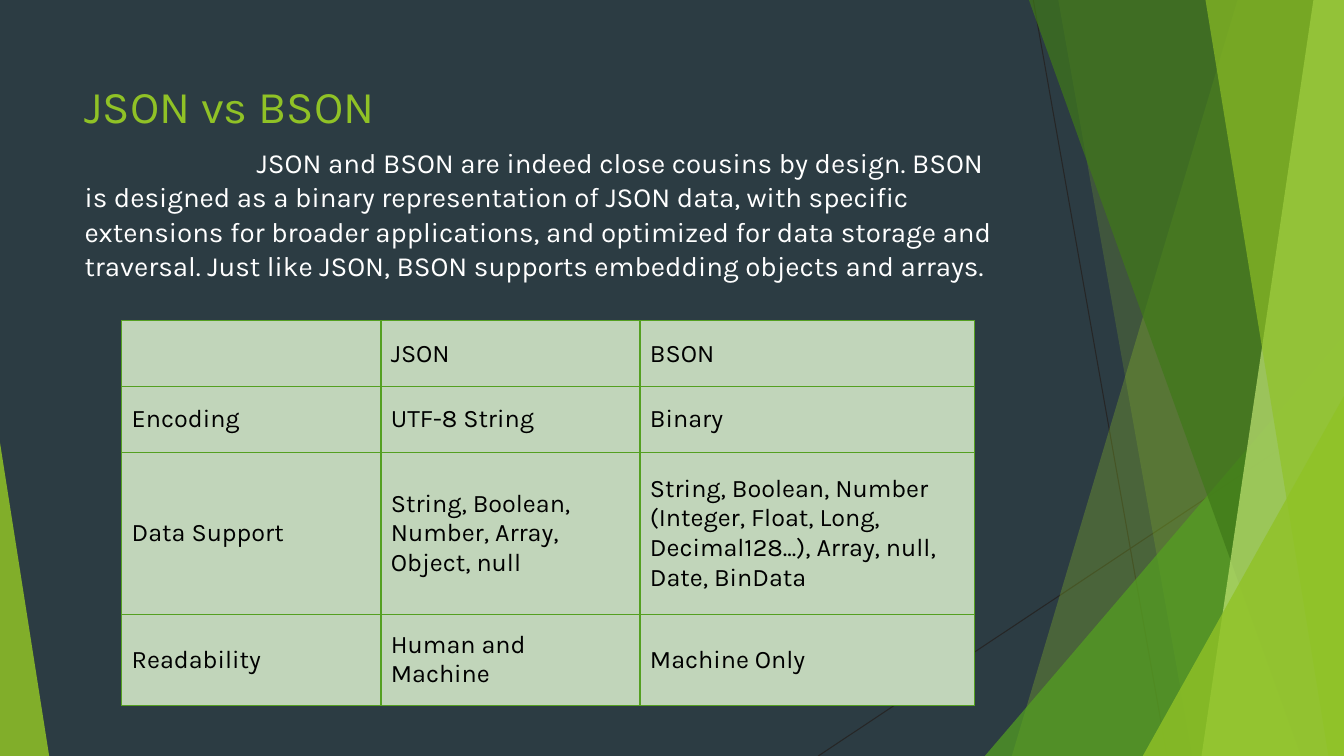
from dataclasses import dataclass

from lxml.etree import SubElement
from pptx import Presentation
from pptx.dml.color import RGBColor
from pptx.enum.shapes import MSO_CONNECTOR, MSO_SHAPE
from pptx.enum.text import MSO_ANCHOR as Anchor, PP_ALIGN as Align
from pptx.oxml.ns import qn
from pptx.util import Cm, Pt

COLORS = {
    "background": "2C3C43", "lime": "90C226", "green": "54A021",
    "forest": "3F7819", "pale": "C0E474", "line": "262626",
    "cell": "C1D5BA", "white": "FFFFFF", "black": "000000",
}
FONT = "Karla"
WIDTH, HEIGHT = 33.87, 19.05


@dataclass
class Line:
    start: tuple[float, float]
    end: tuple[float, float]


@dataclass
class Facet:
    """Band from a slanted left edge to the right side of the slide."""
    top_x: float
    bottom_x: float
    color: str
    opacity: int


@dataclass
class Corner:
    """Right triangle standing on the bottom of the slide."""
    left: float
    top: float
    width: float
    apex: float
    color: str
    opacity: int


DECORATIONS = [
    Line((26.04, 0), (29.41, HEIGHT)),
    Line((WIDTH, 10.24), (20.62, HEIGHT)),
    Facet(31.19, 25.5, "lime", 30),
    Facet(26.67, 30.05, "lime", 20),
    Corner(24.82, 8.46, 9.05, 1, "green", 72),
    Facet(25.93, 32.79, "forest", 70),
    Facet(33.1, 30.28, "pale", 70),
    Facet(30.38, 33.48, "lime", 65),
    Corner(28.8, 9.98, 5.07, 1, "lime", 80),
    Corner(0, 11.15, 1.24, 0, "lime", 85),
]

COLUMN_WIDTHS = [6.53, 6.53, 8.43]
ROW_HEIGHTS = [1.66, 1.66, 4.08, 2.27]
COMPARISON = [
    ["", "JSON", "BSON"],
    ["Encoding", "UTF-8 String", "Binary"],
    ["Data Support", "String, Boolean, Number, Array, Object, null",
     "String, Boolean, Number (Integer, Float, Long, Decimal128...), "
     "Array, null, Date, BinData"],
    ["Readability", "Human and Machine", "Machine Only"],
]


def rgb(name: str) -> RGBColor:
    return RGBColor.from_string(COLORS[name])


def paint(shape, color: str, opacity: int) -> None:
    shape.shadow.inherit = False
    shape.line.fill.background()
    shape.fill.solid()
    shape.fill.fore_color.rgb = rgb(color)
    color_node = shape.fill._xPr.find(qn("a:solidFill"))[0]
    SubElement(color_node, qn("a:alpha"), val=str(opacity * 1000))


def draw_line(shapes, line: Line) -> None:
    points = [Cm(value) for value in (*line.start, *line.end)]
    connector = shapes.add_connector(MSO_CONNECTOR.STRAIGHT, *points)
    connector.line.color.rgb = rgb("line")
    connector.line.width = Pt(0.75)
    SubElement(connector._element.spPr, qn("a:effectLst"))


def draw_facet(shapes, facet: Facet) -> None:
    builder = shapes.build_freeform(Cm(facet.top_x), 0)
    corners = [(WIDTH, 0), (WIDTH, HEIGHT), (facet.bottom_x, HEIGHT)]
    builder.add_line_segments([(Cm(x), Cm(y)) for x, y in corners], close=True)
    paint(builder.convert_to_shape(), facet.color, facet.opacity)


def draw_corner(shapes, corner: Corner) -> None:
    triangle = shapes.add_shape(
        MSO_SHAPE.ISOSCELES_TRIANGLE, Cm(corner.left), Cm(corner.top),
        Cm(corner.width), Cm(HEIGHT - corner.top))
    triangle.adjustments[0] = corner.apex
    paint(triangle, corner.color, corner.opacity)


def write(paragraph, text: str, size: float, color: str) -> None:
    paragraph.alignment = Align.LEFT
    run = paragraph.add_run()
    run.text = text
    run.font.name = FONT
    run.font.size = Pt(size)
    run.font.color.rgb = rgb(color)


def place(placeholder, top: float, height: float):
    """Move a text placeholder to the left margin; return its paragraph."""
    placeholder.left, placeholder.top = Cm(2.13), Cm(top)
    placeholder.width, placeholder.height = Cm(23.1), Cm(height)
    frame = placeholder.text_frame
    frame.word_wrap = True
    frame.vertical_anchor = Anchor.TOP
    frame.margin_left = frame.margin_right = 0
    frame.margin_top = frame.margin_bottom = 0
    paragraph = frame.paragraphs[0]
    paragraph.space_before = Pt(0)
    return paragraph


def format_cell(cell, text: str) -> None:
    cell.vertical_anchor = Anchor.MIDDLE
    cell.margin_left = cell.margin_right = Cm(0.25)
    cell.margin_top = cell.margin_bottom = Cm(0.4)
    if text:
        write(cell.text_frame.paragraphs[0], text, 18, "black")
    properties = cell._tc.get_or_add_tcPr()
    for side in ("lnL", "lnR", "lnT", "lnB"):
        border = SubElement(properties, qn(f"a:{side}"), w=str(Pt(1)))
        fill = SubElement(border, qn("a:solidFill"))
        SubElement(fill, qn("a:srgbClr"), val=COLORS["green"])
    cell.fill.solid()
    cell.fill.fore_color.rgb = rgb("cell")


presentation = Presentation()
presentation.slide_width, presentation.slide_height = Cm(WIDTH), Cm(HEIGHT)
slide = presentation.slides.add_slide(presentation.slide_layouts[1])
slide.background.fill.solid()
slide.background.fill.fore_color.rgb = rgb("background")

# Background facets
DRAW = {Line: draw_line, Facet: draw_facet, Corner: draw_corner}
for decoration in DECORATIONS:
    DRAW[type(decoration)](slide.shapes, decoration)

# Title and introduction
title = place(slide.shapes.title, 1.96, 1.4)
write(title, "JSON vs BSON", 32.4, "lime")

introduction = place(slide.placeholders[1], 3.65, 3.6)
introduction.line_spacing = Pt(24.5)
introduction_properties = introduction._p.get_or_add_pPr()
introduction_properties.set("marL", "0")
introduction_properties.set("indent", str(Cm(4.34)))
SubElement(introduction_properties, qn("a:buNone"))
write(introduction,
      "JSON and BSON are indeed close cousins by design. BSON is designed as "
      "a binary representation of JSON data, with specific extensions for "
      "broader applications, and optimized for data storage and traversal. "
      "Just like JSON, BSON supports embedding objects and arrays.",
      19.8, "white")

# Comparison table
table = slide.shapes.add_table(
    len(ROW_HEIGHTS), len(COLUMN_WIDTHS), Cm(3.07), Cm(8.08),
    Cm(sum(COLUMN_WIDTHS)), Cm(sum(ROW_HEIGHTS))).table
table.first_row = table.horz_banding = False
for column, width in zip(table.columns, COLUMN_WIDTHS):
    column.width = Cm(width)
for row, height, texts in zip(table.rows, ROW_HEIGHTS, COMPARISON):
    row.height = Cm(height)
    for cell, text in zip(row.cells, texts):
        format_cell(cell, text)

presentation.save("out.pptx")
